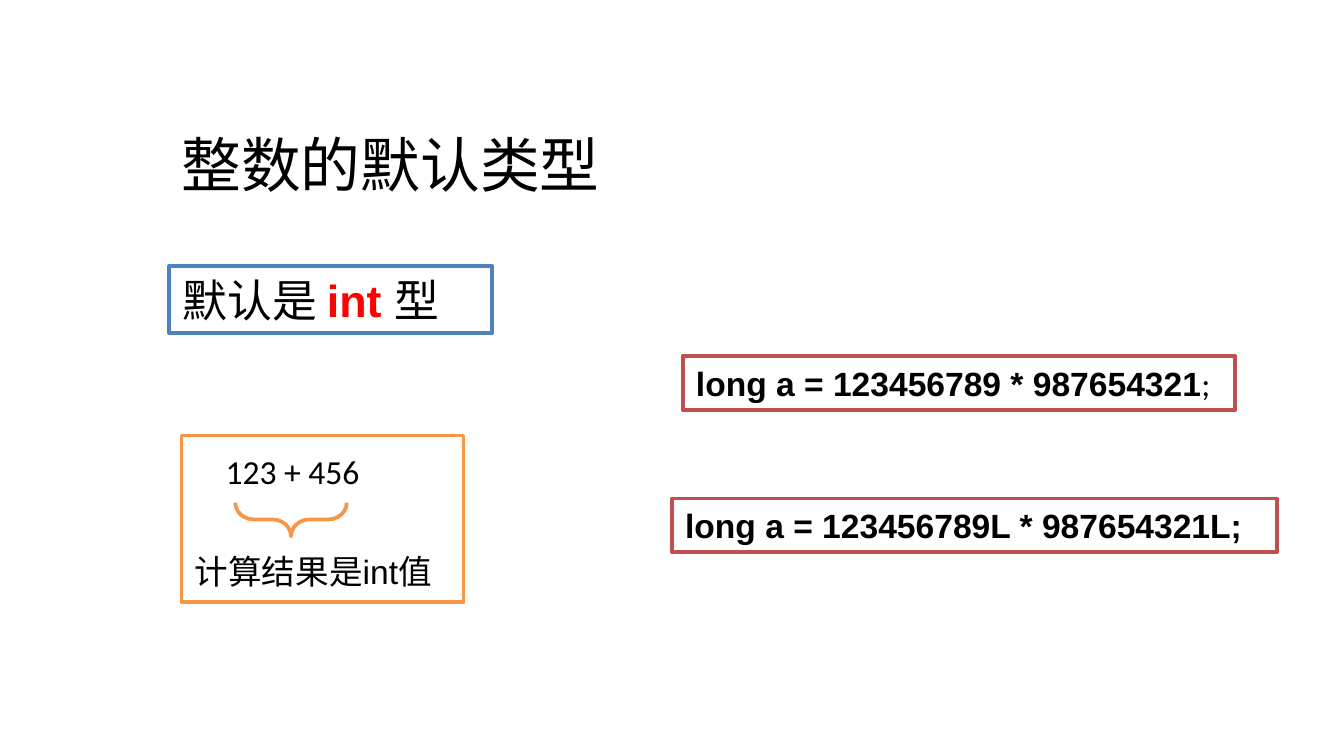
from pptx import Presentation
from pptx.dml.color import RGBColor
from pptx.enum.shapes import MSO_SHAPE
from pptx.enum.text import MSO_ANCHOR, MSO_AUTO_SIZE, PP_ALIGN
from pptx.util import Inches, Pt

BLACK, WHITE, RED = "000000", "FFFFFF", "FF0000"
BLUE, BRICK, ORANGE = "4F81BD", "C0504D", "F79646"


def color(hex_code):
    return RGBColor.from_string(hex_code)


def style_run(r, size, font="Arial", bold=False, hex_code=BLACK):
    r.font.size = Pt(size)
    r.font.name = font
    r.font.bold = bold
    r.font.color.rgb = color(hex_code)


def add_outlined(shapes, kind, box, line):
    sp = shapes.add_shape(kind, *map(Inches, box))
    sp.shadow.inherit = False
    sp.fill.solid()
    sp.fill.fore_color.rgb = color(WHITE)
    sp.line.color.rgb = color(line)
    sp.line.width = Pt(2)
    return sp


def add_text_box(shapes, box, line, size, paragraphs, wrap=False):
    """Each paragraph is a list of (text, run style) pairs."""
    sp = add_outlined(shapes, MSO_SHAPE.RECTANGLE, box, line)
    tf = sp.text_frame
    tf.word_wrap = wrap
    tf.auto_size = MSO_AUTO_SIZE.SHAPE_TO_FIT_TEXT
    tf.vertical_anchor = MSO_ANCHOR.TOP
    for i, runs in enumerate(paragraphs):
        p = tf.add_paragraph() if i else tf.paragraphs[0]
        p.alignment = PP_ALIGN.LEFT
        for text, style in runs:
            r = p.add_run()
            r.text = text
            style_run(r, size, **style)
    return sp


def set_title(s, text):
    title = s.shapes.title
    title.left, title.top = Inches(1.25), Inches(0.9)
    title.width, title.height = Inches(6.08), Inches(0.67)
    tf = title.text_frame
    tf.text = text
    tf.vertical_anchor = MSO_ANCHOR.TOP
    p = tf.paragraphs[0]
    p.alignment = PP_ALIGN.LEFT
    style_run(p.runs[0], 32, "Calibri")


def add_sum_example(s):
    group = s.shapes.add_group_shape()
    sp = add_text_box(group.shapes, (1.35, 3.24, 2.1, 1.24), ORANGE, 18, [
        [("123 + 456", {"font": "Calibri"})],
        [("计算结果是int值", {})],
    ])
    expression, result = sp.text_frame.paragraphs
    expression._p.get_or_add_pPr().set("marL", str(Inches(0.23)))
    line_height = Pt(26.6)
    expression.line_spacing = result.line_spacing = line_height
    result.space_before = line_height  # room for the brace

    brace = add_outlined(group.shapes, MSO_SHAPE.RIGHT_BRACE,
                         (2.04, 3.45, 0.25, 0.83), ORANGE)
    brace.rotation = 90
    brace.adjustments[0] = 0.55
    brace.adjustments[1] = 0.5


def main():
    prs = Presentation()
    prs.slide_width = Inches(10)
    prs.slide_height = prs.slide_width * 9 // 16
    s = prs.slides.add_slide(prs.slide_layouts[5])
    set_title(s, "整数的默认类型")

    bold = {"bold": True}
    add_text_box(s.shapes, (1.26, 1.98, 2.4, 0.5), BLUE, 24, [[
        ("默认是 ", {}),
        ("int ", {"bold": True, "hex_code": RED}),
        ("型", {}),
    ]])
    add_text_box(s.shapes, (5.08, 2.65, 4.11, 0.4), BRICK, 18, [[
        ("long a = 123456789 * 987654321", bold),
        (";", {"font": "Calibri"}),
    ]])
    add_text_box(s.shapes, (5, 3.71, 4.5, 0.4), BRICK, 18, [[
        ("long a = 123456789L * 987654321L;", bold),
    ]], wrap=True)
    add_sum_example(s)
    prs.save("out.pptx")


if __name__ == "__main__":
    main()
